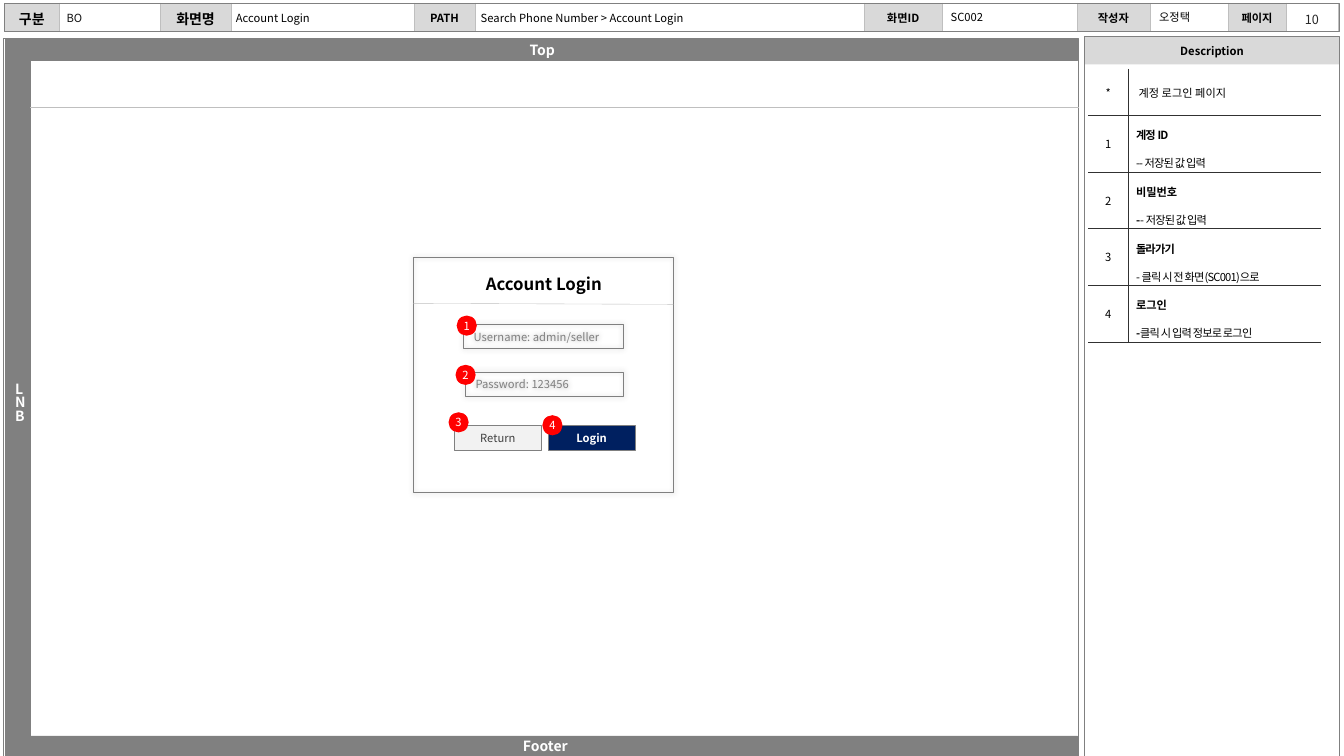
from lxml.etree import SubElement as Sub
from pptx import Presentation
from pptx.dml.color import RGBColor
from pptx.enum.shapes import MSO_CONNECTOR as Line, MSO_SHAPE as Kind
from pptx.enum.text import MSO_ANCHOR as Anchor, MSO_AUTO_SIZE as Auto, PP_ALIGN as Align
from pptx.oxml.ns import qn
from pptx.util import Pt

FONT = "Noto Sans CJK KR"
GRAY, PALE, RULE, DARK = "808080", "D9D9D9", "BFBFBF", "313131"
BLACK, WHITE = "000000", "FFFFFF"

# Header strip: label, label size, column width
HEADER = [("구분", 10, 39.6), ("", 8, 72), ("화면명", 10, 50.4), ("", 8, 131),
          ("PATH", 8, 43.2), ("", 8, 278), ("화면ID", 8, 56.2), ("", 8, 95.8),
          ("작성자", 8, 52.6), ("", 8, 55.4), ("페이지", 8, 41.8), ("", 8, 36.7)]

# Header values: text, left, top, width, colour
VALUES = [("BO", 43.9, 4.3, 68.4, "111111"),
          ("Account Login", 164.9, 4.3, 130.3, BLACK),
          ("Search Phone Number > Account Login", 339.8, 4.3, 277.2, BLACK),
          ("SC002", 675.4, 3.6, 52.6, BLACK),
          ("오정택", 824.4, 3.6, 52.6, BLACK)]

# Frame bars: text, box
BARS = [("Footer", (9.4, 525.6, 760.3, 14.4)), ("Top", (5, 27.4, 764.6, 15.8))]

# Login form: text, box, fill, font colour, bold
BUTTONS = [("Login", (391.7, 303.8, 61.9, 18), "002060", WHITE, True),
           ("Return", (324.7, 303.8, 61.9, 18), "F2F2F2", "404040", False)]
FIELDS = [("Username: admin/seller", (331.2, 231.8, 113.8, 17.3)),
          ("Password: 123456", (332.6, 265.7, 113, 17.3))]
CARD = (295.2, 183.6, 185.8, 168.5)
BADGES = [(326.2, 225.4), (325.4, 260.6), (320.4, 294.5), (387.4, 296.6)]
BADGE = 14.4

# Notes: mark, lines of (text, bold, letter spacing) runs
NOTES = [
    ("*", [[(" 계정 로그인 페이지", False, 0)]]),
    ("1", [[("계정 ID", True, -0.6)], [("-- 저장된 값 입력", False, -0.6)]]),
    ("2", [[("비밀번호", True, 0)],
           [("-", True, -0.6), ("- 저장된 값 입력", False, -0.6)]]),
    ("3", [[("돌라가기", True, -0.6)],
           [("- 클릭 시 전 화면(SC001)으로", False, -0.6)]]),
    ("4", [[("로그인", True, 0)],
           [("-", True, -0.6), ("클릭 시 입력 정보로 로그인", False, -0.6)]]),
]
NOTE_ROWS = [32.6] + [40.3] * 4


def rgb(code):
    return RGBColor.from_string(code)


def style(par, size, color=BLACK, bold=False, align=Align.LEFT):
    par.alignment = align
    font = par.font
    font.name, font.size, font.bold = FONT, Pt(size), bold
    font.color.rgb = rgb(color)
    for run in par.runs:
        Sub(run._r.get_or_add_rPr(), qn("a:ea"), typeface=FONT)


def pad(frame, side, top):
    frame.margin_left = frame.margin_right = Pt(side)
    frame.margin_top = frame.margin_bottom = Pt(top)


def write(frame, text, size, color=BLACK, bold=False, align=Align.CENTER,
          inset=(7.2, 3.6), anchor=Anchor.MIDDLE, wrap=True):
    frame.word_wrap = wrap
    frame.vertical_anchor = anchor
    pad(frame, *inset)
    par = frame.paragraphs[0]
    par.text = text
    style(par, size, color, bold, align)
    return par


def draw(box, fill=None, line=None, width=0.5, kind=Kind.RECTANGLE):
    shape = slide.shapes.add_shape(kind, *map(Pt, box))
    shape.shadow.inherit = False
    if fill:
        shape.fill.solid()
        shape.fill.fore_color.rgb = rgb(fill)
    else:
        shape.fill.background()
    if line:
        shape.line.color.rgb = rgb(line)
        shape.line.width = Pt(width)
    else:
        shape.line.fill.background()
    return shape


def glow(shape):
    """Give the shape a soft shadow with no offset."""
    effects = shape._element.spPr.find(qn("a:effectLst"))
    shade = Sub(effects, qn("a:outerShdw"), blurRad=str(Pt(4)), dist="0",
                dir="0", algn="ctr", rotWithShape="0")
    tone = Sub(shade, qn("a:srgbClr"), val=BLACK)
    Sub(tone, qn("a:alpha"), val="30000")


def rule(x1, y1, x2, y2):
    line = slide.shapes.add_connector(Line.STRAIGHT, *map(Pt, (x1, y1, x2, y2)))
    line.line.color.rgb = rgb(RULE)
    line.line.width = Pt(0.25)
    Sub(line._element.spPr, qn("a:effectLst"))


def grid(left, top, cols, rows):
    table = slide.shapes.add_table(len(rows), len(cols), Pt(left), Pt(top),
                                   Pt(sum(cols)), Pt(sum(rows))).table
    table.first_row = table.horz_banding = False
    for col, width in zip(table.columns, cols):
        col.width = Pt(width)
    for row, height in zip(table.rows, rows):
        row.height = Pt(height)
    return table


def finish(cell, edges, fill, inset):
    """Set borders (left, right, top, bottom), fill and margins of a cell."""
    props = cell._tc.get_or_add_tcPr()
    for side, (color, width) in zip("LRTB", edges):
        edge = Sub(props, qn("a:ln" + side), w=str(Pt(width)))
        Sub(Sub(edge, qn("a:solidFill")), qn("a:srgbClr"), val=color)
    if fill:
        cell.fill.solid()
        cell.fill.fore_color.rgb = rgb(fill)
    else:
        cell.fill.background()
    pad(cell, *inset)
    cell.vertical_anchor = Anchor.MIDDLE


def add_header():
    table = grid(2.9, 2.2, [width for _, _, width in HEADER], [20.2])
    edges = [(RULE, 0.25)] * 2 + [(WHITE, 0.25)] * 2
    for cell, (label, size, _) in zip(table.rows[0].cells, HEADER):
        finish(cell, edges, PALE if label else None, (8.6, 3.6))
        par = cell.text_frame.paragraphs[0]
        par.text = label
        style(par, size, bold=True, align=Align.CENTER)


def add_notes():
    table = grid(777.6, 49.7, [28.1, 137.5], NOTE_ROWS)
    thin, blank = (DARK, 0.25), (WHITE, 1)
    for i, (mark, lines) in enumerate(NOTES):
        top = thin if i else blank
        left, right = table.rows[i].cells
        finish(left, (blank, thin, top, thin), WHITE, (5.76, 5.76))
        finish(right, (thin, blank, top, thin), WHITE, (5.76, 5.76))
        par = left.text_frame.paragraphs[0]
        par.text = mark
        par.space_after = Pt(6)
        style(par, 8, align=Align.CENTER)
        frame = right.text_frame
        for j, runs in enumerate(lines):
            par = frame.add_paragraph() if j else frame.paragraphs[0]
            par.space_after = Pt(6)
            if i:
                par.line_spacing = 1.2
            for text, bold, gap in runs:
                run = par.add_run()
                run.text, run.font.bold = text, bold
                run._r.get_or_add_rPr().set("spc", str(round(gap * 100)))
            style(par, 8)


deck = Presentation()
deck.slide_width, deck.slide_height = Pt(960), Pt(540)
slide = deck.slides.add_slide(deck.slide_layouts[5])

title = slide.shapes.title
title.left, title.top, title.width, title.height = map(Pt, (343.4, 192.2, 90.7, 21.6))
write(title.text_frame, "Account Login", 12, bold=True, align=Align.LEFT,
      inset=(3.6, 3.6), anchor=Anchor.TOP, wrap=False)
title.text_frame.auto_size = Auto.SHAPE_TO_FIT_TEXT

# Page frame
draw((2.2, 27.4, 768.2, 512.6), line=GRAY)
heading = draw((774.7, 26.6, 182.2, 19.4), PALE)
write(heading.text_frame, "Description", 8, bold=True, inset=(0, 0))
add_header()
draw((2.9, 2.2, 954, 20.2), line=GRAY)
draw((774.7, 25.9, 182.2, 514.1), line=GRAY)
side = draw((3.6, 27.4, 18, 512.6), GRAY, GRAY, 0.25)
par = write(side.text_frame, " LNB", 10, WHITE, True, Align.LEFT, (2.9, 3.6))
par.line_spacing = 0.8
props = par._p.get_or_add_pPr()
props.set("marL", str(Pt(4.3)))
props.set("indent", str(Pt(-4.3)))
for text, box in BARS:
    write(draw(box, GRAY, GRAY, 0.25).text_frame, text, 10, WHITE, True)

page = slide.shapes.add_textbox(*map(Pt, (920.2, 3.6, 33.8, 20.2)))
write(page.text_frame, "10", 9, "262626")
for text, left, top, width, color in VALUES:
    value = slide.shapes.add_textbox(*map(Pt, (left, top, width, 17.3)))
    write(value.text_frame, text, 8, color, align=Align.LEFT,
          inset=(3.6, 3.6), anchor=Anchor.TOP)
rule(21.6, 76.3, 770.4, 76.3)

# Login form
for text, box, fill, color, bold in BUTTONS:
    write(draw(box, fill, GRAY).text_frame, text, 8, color, bold, inset=(0, 2.9))
for text, box in FIELDS:
    field = draw(box, line=GRAY)
    glow(field)
    write(field.text_frame, text, 8, GRAY, align=Align.LEFT, wrap=False)
glow(draw(CARD, line=GRAY))
add_notes()
for number, (left, top) in enumerate(BADGES, 1):
    badge = draw((left, top, BADGE, BADGE), "FF0000", kind=Kind.OVAL)
    write(badge.text_frame, str(number), 8, WHITE, inset=(0, 3.6))
rule(295.2, 216.7, 481, 217.4)

deck.save("out.pptx")
